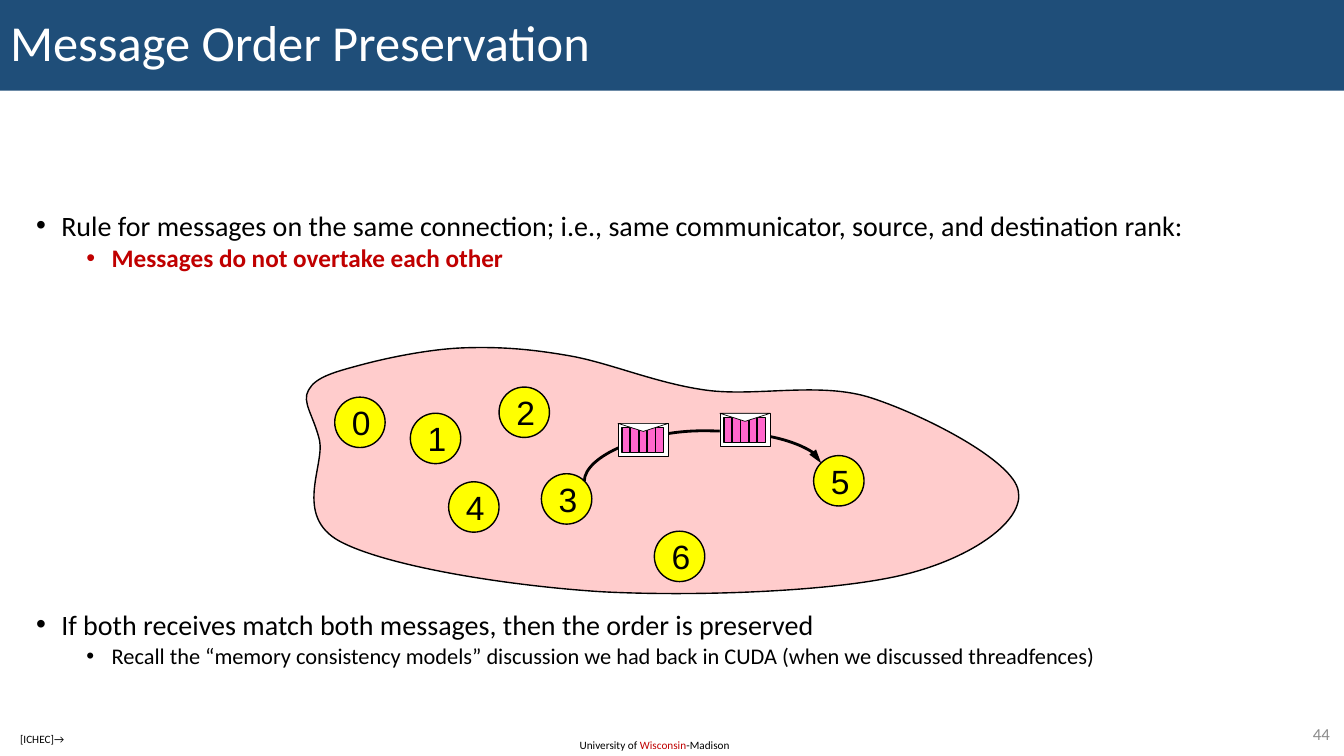
from lxml.etree import SubElement
from pptx import Presentation
from pptx.dml.color import RGBColor
from pptx.enum.shapes import MSO_CONNECTOR, MSO_SHAPE
from pptx.enum.text import MSO_ANCHOR, PP_ALIGN
from pptx.oxml.ns import qn
from pptx.util import Inches, Pt

NAVY = RGBColor(0x1F, 0x4E, 0x79)
WHITE = RGBColor(0xFF, 0xFF, 0xFF)
BLACK = RGBColor(0, 0, 0)
RED = RGBColor(0xC0, 0, 0)
GRAY = RGBColor(0x8C, 0x8C, 0x8C)
ROSE = RGBColor(0xFF, 0xCC, 0xCC)
YELLOW = RGBColor(0xFF, 0xFF, 0)
PINK = RGBColor(0xFF, 0x66, 0xCC)

TITLE = "Message Order Preservation"
BULLETS = [
    (2.08, [
        (0, "Rule for messages on the same connection; i.e., same communicator, "
            "source, and destination rank:", 20, BLACK, False),
        (1, "Messages do not overtake each other", 18, RED, True)]),
    (6.04, [
        (0, "If both receives match both messages, then the order is preserved",
         20, BLACK, False),
        (1, "Recall the “memory consistency models” discussion we had back in CUDA "
            "(when we discussed threadfences)", 16, BLACK, False)]),
]
SMALL_TEXTS = [
    ((5.65, 7.28, 1.72, 0.24), PP_ALIGN.LEFT, MSO_ANCHOR.TOP, 8,
     [("University of ", BLACK), ("Wisconsin", RED), ("-Madison", BLACK)]),
    ((12.53, 7.13, 0.76, 0.29), PP_ALIGN.RIGHT, MSO_ANCHOR.MIDDLE, 12,
     [("44", GRAY)]),
    ((0.1, 7.22, 0.72, 0.24), PP_ALIGN.LEFT, MSO_ANCHOR.TOP, 8,
     [("[ICHEC]→", BLACK)]),
]
BLOB = [
    (3.58, 3.62),
    (3.84, 3.55), (4.27, 3.46), (4.62, 3.45),
    (4.96, 3.44), (5.25, 3.46), (5.65, 3.53),
    (6.05, 3.6), (6.5, 3.8), (7, 3.87),
    (7.5, 3.94), (8.14, 3.78), (8.65, 3.95),
    (9.17, 4.12), (10.05, 4.57), (10.1, 4.87),
    (10.16, 5.16), (9.66, 5.53), (8.97, 5.7),
    (8.28, 5.87), (6.89, 5.92), (5.96, 5.87),
    (5.03, 5.81), (3.84, 5.62), (3.37, 5.37),
    (2.91, 5.12), (3.22, 4.62), (3.17, 4.37),
    (3.11, 4.12), (2.99, 3.99), (3.06, 3.87),
    (3.13, 3.74), (3.32, 3.69), (3.58, 3.62),
]
RANKS = [(3.32, 3.94), (4.07, 4.1), (4.95, 3.84), (5.37, 4.7),
         (4.45, 4.78), (8.07, 4.52), (6.49, 5.27)]
ENVELOPES = [(6.13, 4.2), (7.14, 4.1)]


def add_run(p, text, size, color, font="Calibri", bold=False):
    r = p.add_run()
    r.text = text
    r.font.name, r.font.size, r.font.bold = font, Pt(size), bold
    r.font.color.rgb = color


def paint(sp, fill, width):
    sp.shadow.inherit = False
    sp.fill.solid()
    sp.fill.fore_color.rgb = fill
    sp.line.color.rgb = BLACK
    sp.line.width = Pt(width)
    return sp


def add_box(s, kind, box, fill, width):
    return paint(s.shapes.add_shape(kind, *map(Inches, box)), fill, width)


def add_outline(s, points, fill, width):
    start, *rest = [(Inches(x), Inches(y)) for x, y in points]
    fb = s.shapes.build_freeform(*start)
    fb.add_line_segments(rest, close=True)
    return paint(fb.convert_to_shape(), fill, width)


def round_outline(sp):
    lines = list(sp._element.iter(qn("a:lnTo")))
    lines = lines[:len(BLOB) - 1]
    for i in range(0, len(lines), 3):
        first, *others = lines[i:i + 3]
        first.tag = qn("a:cubicBezTo")
        for line in others:
            first.append(line[0])
            line.getparent().remove(line)


def add_text(s, box):
    tf = s.shapes.add_textbox(*map(Inches, box)).text_frame
    tf.word_wrap = True
    return tf


def add_bullets(s, top, items):
    tf = add_text(s, (0.26, top, 13.07, 0.8))
    for i, (level, text, size, color, bold) in enumerate(items):
        p = tf.add_paragraph() if i else tf.paragraphs[0]
        p.level = level
        p.line_spacing = 0.8
        p.space_before = Pt(5 if i else 0)
        pPr = p._p.get_or_add_pPr()
        pPr.set("marL", str(Inches(0.25 + 0.5 * level)))
        pPr.set("indent", str(Inches(-0.25)))
        SubElement(pPr, qn("a:buFont")).set("typeface", "Arial")
        SubElement(pPr, qn("a:buChar")).set("char", "•")
        add_run(p, text, size, color, bold=bold)


def add_message_arrow(s):
    box = map(Inches, (6.88, 3.51, 7.06, 5.86))
    arrow = s.shapes.add_connector(MSO_CONNECTOR.CURVE, *box)
    arrow.line.color.rgb = BLACK
    arrow.line.width = Pt(2)
    head = SubElement(arrow.line._get_or_add_ln(), qn("a:tailEnd"))
    head.set("type", "triangle")
    head.set("len", "lg")
    spPr = arrow._element.spPr
    spPr.find(qn("a:xfrm")).set("rot", str(270 * 60000))
    geom = spPr.find(qn("a:prstGeom"))
    geom.set("prst", "curvedConnector3")
    guide = SubElement(geom.find(qn("a:avLst")), qn("a:gd"))
    guide.set("name", "adj1")
    guide.set("fmla", "val 278800")
    SubElement(spPr, qn("a:effectLst"))


def add_envelope(s, x, y):
    add_box(s, MSO_SHAPE.RECTANGLE, (x, y, 0.5, 0.33), WHITE, 0.5)
    for i in range(5):
        add_box(s, MSO_SHAPE.RECTANGLE,
                (x + 0.04 + i / 12, y + 0.04, 0.08, 0.25), PINK, 1)
    flap = [(x, y), (x + 0.25, y + 0.08), (x + 0.5, y), (x, y)]
    add_outline(s, flap, WHITE, 0.5)


def main():
    """Build the message order slide."""
    prs = Presentation()
    prs.slide_width, prs.slide_height = Inches(13.33), Inches(7.5)
    s = prs.slides.add_slide(prs.slide_layouts[5])

    title = s.shapes.title
    title.left, title.top, title.width, title.height = map(Inches, (0, 0, 13.33, 0.9))
    title.fill.solid()
    title.fill.fore_color.rgb = NAVY
    title.text_frame.vertical_anchor = MSO_ANCHOR.MIDDLE
    p = title.text_frame.paragraphs[0]
    p.alignment, p.line_spacing = PP_ALIGN.LEFT, 0.9
    add_run(p, TITLE, 36, WHITE)

    for top, items in BULLETS:
        add_bullets(s, top, items)

    round_outline(add_outline(s, BLOB, ROSE, 1))
    for rank, (x, y) in enumerate(RANKS):
        tf = add_box(s, MSO_SHAPE.OVAL, (x, y, 0.5, 0.5), YELLOW, 1).text_frame
        tf.word_wrap = False
        tf.vertical_anchor = MSO_ANCHOR.MIDDLE
        p = tf.paragraphs[0]
        p.alignment = PP_ALIGN.LEFT
        add_run(p, str(rank), 24, BLACK, "Arial")
    add_message_arrow(s)
    for x, y in ENVELOPES:
        add_envelope(s, x, y)

    for box, align, anchor, size, runs in SMALL_TEXTS:
        tf = add_text(s, box)
        tf.vertical_anchor = anchor
        p = tf.paragraphs[0]
        p.alignment = align
        for text, color in runs:
            add_run(p, text, size, color)

    prs.save("out.pptx")


if __name__ == "__main__":
    main()
